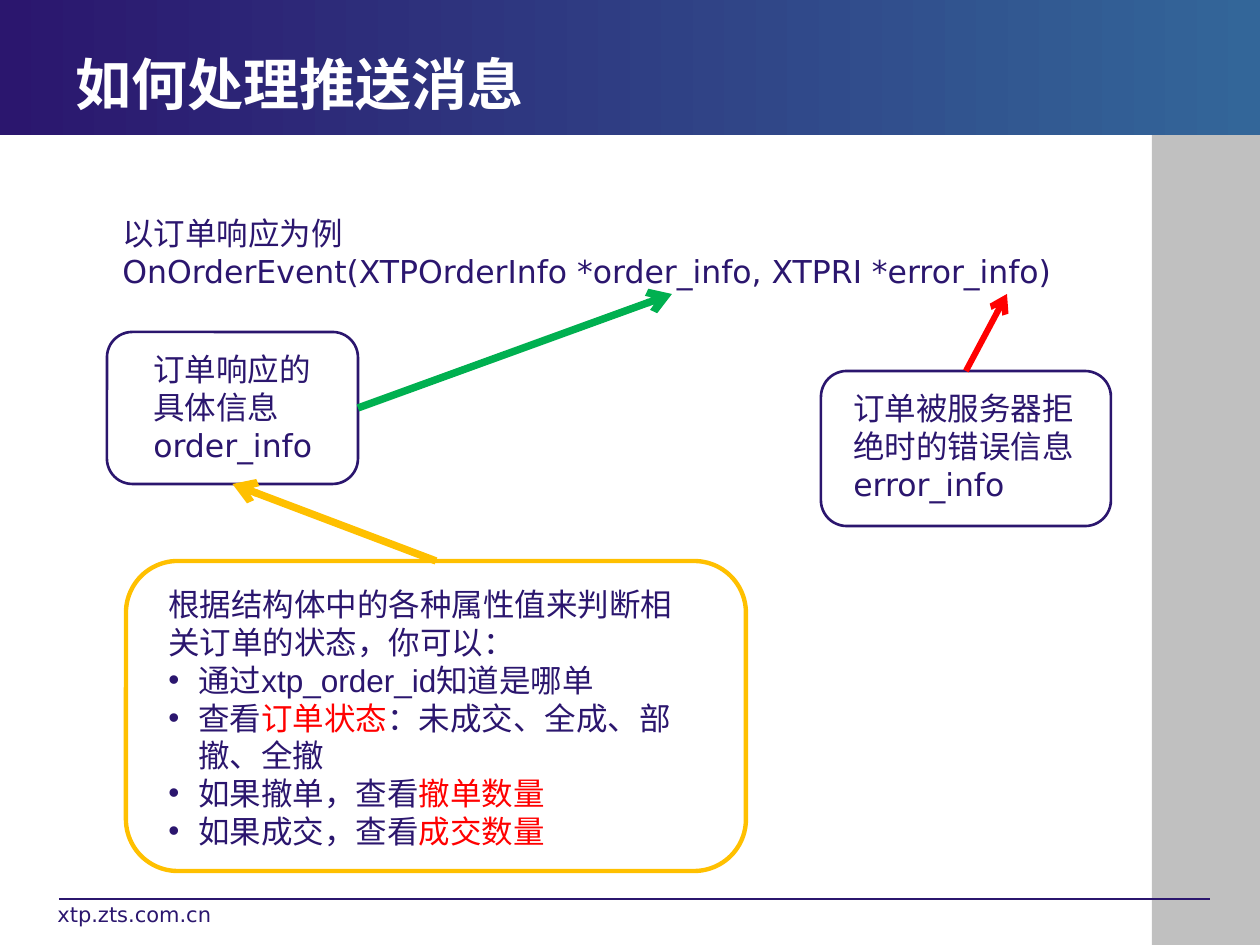
"""Builds the slide on handling pushed order messages."""
from lxml import etree
from pptx import Presentation, util as u
from pptx.dml.color import RGBColor
from pptx.enum import shapes, text
from pptx.oxml.ns import qn

PX = 914400 // 126
THEME = {
    "navy": "2B166E", "blue": "336699", "grey": "C0C0C0", "white": "FFFFFF",
    "red": "FF0000", "green": "00B050", "gold": "FFC000",
    "title": 32, "body": 18, "foot": 12, "sans": "DejaVu Sans", "bullet": "Arial",
}
BANDS = [((1152, 135, 108, 810), ["grey"]), ((0, 0, 1260, 135), ["navy", "blue"])]
RULE = ((59, 899), (1210, 899), "navy", 0.75)
BOXES = {
    "order": ((107, 332, 251, 152), "navy", 1.5),
    "error": ((821, 371, 290, 155), "navy", 1.5),
    "state": ((126, 561, 620, 310), "gold", 2.5),
}
ARROWS = [
    (("order", 3), (672, 294), "green", 4.25),
    (("error", 0), (1007, 294), "red", 3.5),
    (("state", 0), ("order", 2), "gold", 4.25),
]
SANS, ARIAL, RED = {"name": "sans"}, {"name": "bullet"}, {"name": "bullet", "color": "red"}
HEAD = {"name": "sans", "size": "title", "color": "white", "bold": True}
FOOT = {"name": "sans", "size": "foot"}
TEXTS = [
    ((63, 44, 851, 78), "MIDDLE", [(False, [("如何处理推送消息", HEAD)])]),
    ((45, 895, 294, 44), "TOP", [(False, [("xtp.zts.com.cn", FOOT)])]),
    ((110, 208, 1022, 88), "TOP", [
        (False, [("以订单响应为例", SANS)]),
        (False, [("OnOrderEvent(XTPOrderInfo *order_info, XTPRI *error_info)", SANS)])]),
    ((141, 344, 192, 126), "TOP", [
        (False, [("订单响应的具体信息", ARIAL), ("order_info", SANS)])]),
    ((841, 383, 252, 126), "TOP", [
        (False, [("订单被服务器拒绝时的错误信息", ARIAL), ("error_info", SANS)])]),
    ((156, 579, 558, 277), "TOP", [
        (False, [("根据结构体中的各种属性值来判断相关订单的状态，你可以：", ARIAL)]),
        (True, [("通过xtp_order_id知道是哪单", ARIAL)]),
        (True, [("查看", ARIAL), ("订单状态", RED), ("：未成交、全成、部撤、全撤", ARIAL)]),
        (True, [("如果撤单，查看", ARIAL), ("撤单数量", RED)]),
        (True, [("如果成交，查看", ARIAL), ("成交数量", RED)])]),
]


def scale(nums):
    return [n * PX for n in nums]


def tint(key):
    return RGBColor.from_string(THEME[key])


def add_band(slide, area, hues):
    band = slide.shapes.add_shape(shapes.MSO_SHAPE.RECTANGLE, *scale(area))
    band.shadow.inherit = False
    band.line.fill.background()
    if len(hues) == 1:
        band.fill.solid()
        band.fill.fore_color.rgb = tint(hues[0])
        return
    band.fill.gradient()
    band.fill.gradient_angle = 0
    for stop, hue in zip(band.fill.gradient_stops, hues):
        stop.color.rgb = tint(hue)


def add_box(slide, area, hue, width):
    box = slide.shapes.add_shape(shapes.MSO_SHAPE.ROUNDED_RECTANGLE, *scale(area))
    box.shadow.inherit = False
    box.fill.background()
    box.line.color.rgb = tint(hue)
    box.line.width = u.Pt(width)
    return box


def add_line(slide, start, end, hue, width):
    line = slide.shapes.add_connector(
        shapes.MSO_CONNECTOR.STRAIGHT, *scale(start), *scale(end))
    line.line.color.rgb = tint(hue)
    line.line.width = u.Pt(width)
    props = line._element.spPr
    etree.SubElement(props, qn("a:effectLst"))
    return line


def add_arrow(slide, boxes, start, end, hue, width):
    ends = [(0, 0) if spot[0] in boxes else spot for spot in (start, end)]
    line = add_line(slide, *ends, hue, width)
    for spot, join in ((start, line.begin_connect), (end, line.end_connect)):
        if spot[0] in boxes:
            join(boxes[spot[0]], spot[1])
    stroke = line._element.spPr.find(qn("a:ln"))
    etree.SubElement(stroke, qn("a:tailEnd"), type="arrow")


def add_bullet(para):
    props = para._p.get_or_add_pPr()
    props.set("marL", str(30 * PX))
    props.set("indent", str(-30 * PX))
    shade = etree.SubElement(props, qn("a:buClr"))
    etree.SubElement(shade, qn("a:srgbClr"), val=THEME["navy"])
    etree.SubElement(props, qn("a:buFont"), typeface=THEME["bullet"])
    etree.SubElement(props, qn("a:buChar"), char="•")


def add_text(slide, area, anchor, paras):
    frame = slide.shapes.add_textbox(*scale(area)).text_frame
    frame.word_wrap = True
    frame.vertical_anchor = text.MSO_ANCHOR[anchor]
    for index, (bullet, runs) in enumerate(paras):
        para = frame.add_paragraph() if index else frame.paragraphs[0]
        if bullet:
            add_bullet(para)
        for words, style in runs:
            run = para.add_run()
            run.text = words
            look = {"size": "body", "color": "navy", "bold": False, **style}
            run.font.color.rgb = tint(look.pop("color"))
            look.update(size=u.Pt(THEME[look["size"]]), name=THEME[look["name"]])
            for key, value in look.items():
                setattr(run.font, key, value)


def main():
    deck = Presentation()
    deck.slide_width, deck.slide_height = scale((1260, 945))
    slide = deck.slides.add_slide(deck.slide_layouts[6])
    for band in BANDS:
        add_band(slide, *band)
    add_line(slide, *RULE)
    boxes = {name: add_box(slide, *box) for name, box in BOXES.items()}
    for arrow in ARROWS:
        add_arrow(slide, boxes, *arrow)
    for block in TEXTS:
        add_text(slide, *block)
    deck.save("out.pptx")


if __name__ == "__main__":
    main()
